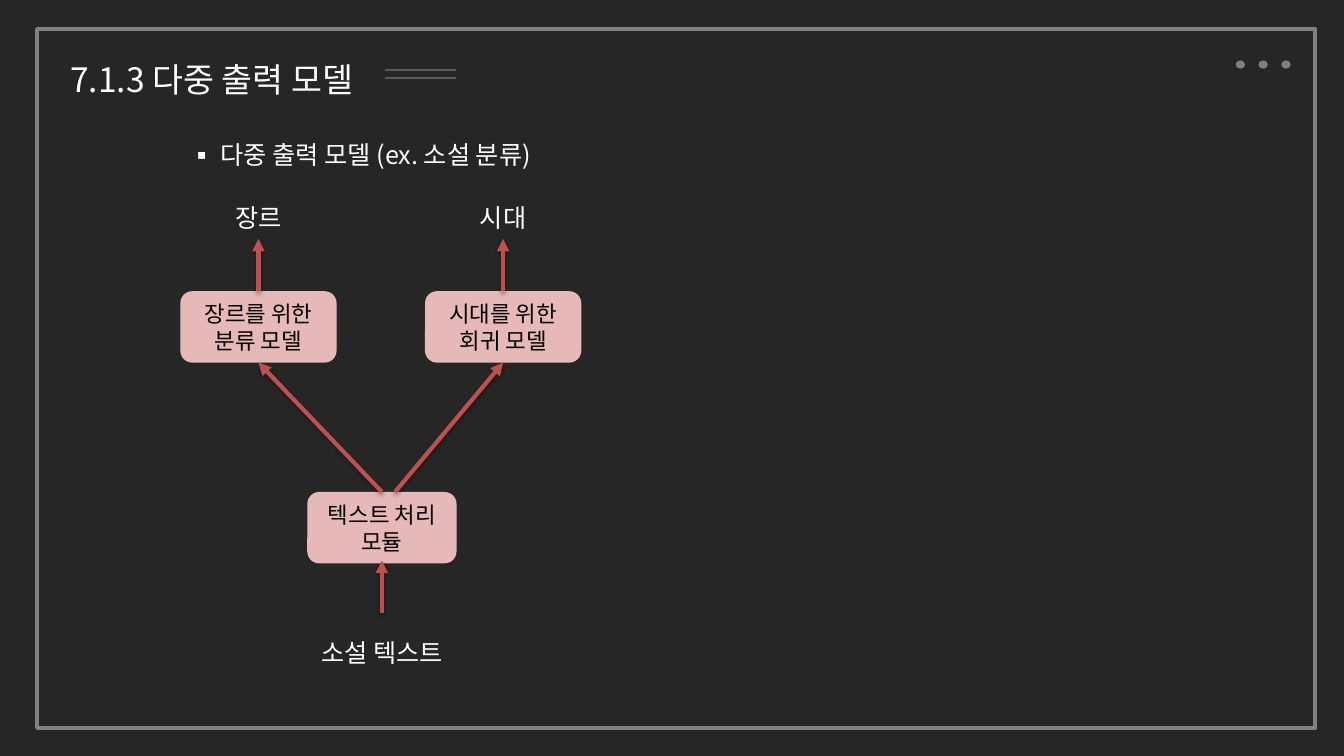
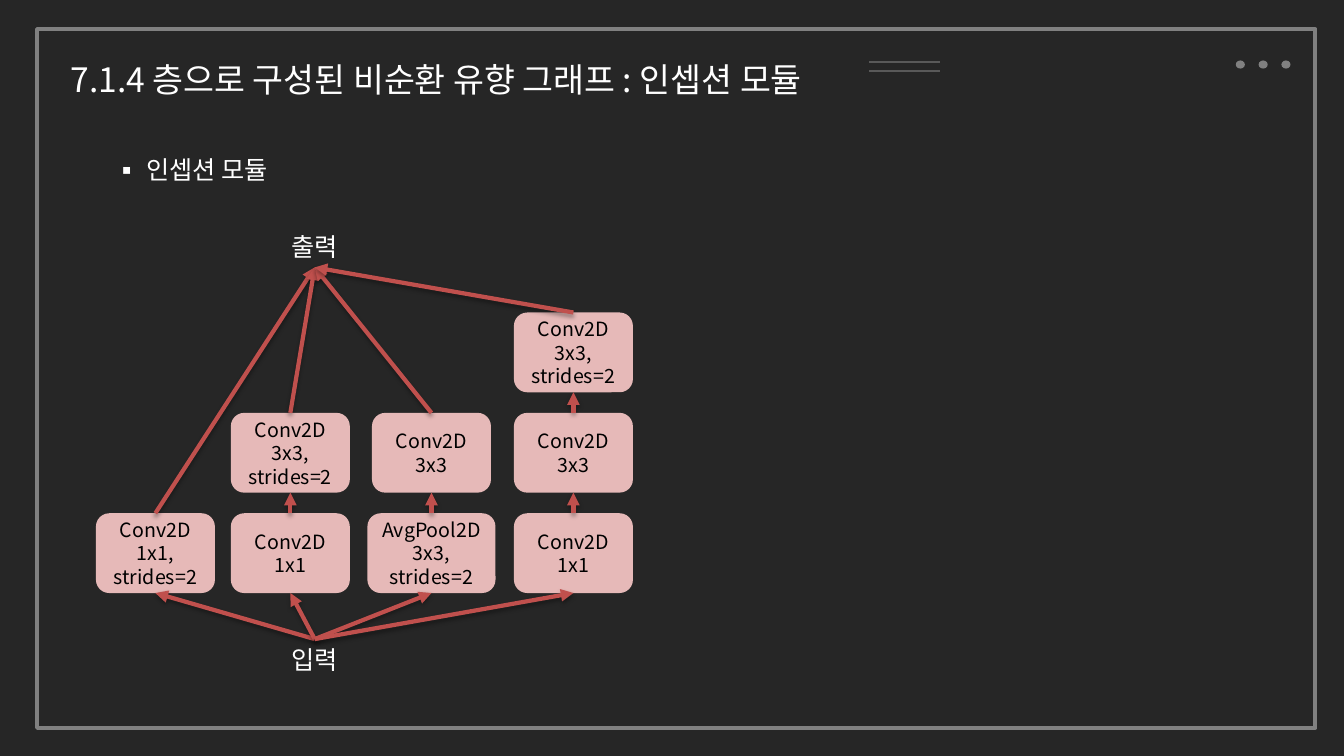
from lxml import etree
from pptx import Presentation
from pptx.dml.color import RGBColor
from pptx.enum.shapes import MSO_CONNECTOR, MSO_SHAPE
from pptx.enum.text import MSO_ANCHOR, MSO_AUTO_SIZE, PP_ALIGN
from pptx.oxml import parse_xml
from pptx.oxml.ns import nsdecls, qn
from pptx.util import Pt

STRAIGHT = MSO_CONNECTOR.STRAIGHT
OVAL, RECTANGLE, ROUNDED = MSO_SHAPE.OVAL, MSO_SHAPE.RECTANGLE, MSO_SHAPE.ROUNDED_RECTANGLE
MIDDLE = MSO_ANCHOR.MIDDLE
FIT_SHAPE = MSO_AUTO_SIZE.SHAPE_TO_FIT_TEXT
LEFT, CENTER = PP_ALIGN.LEFT, PP_ALIGN.CENTER

BACKGROUND = RGBColor(0x26, 0x26, 0x26)
FRAME_GRAY = RGBColor(0x80, 0x80, 0x80)
RULE_GRAY = RGBColor(0x59, 0x59, 0x59)
PINK = RGBColor(0xE6, 0xB9, 0xB8)
RED = RGBColor(0xC0, 0x50, 0x4D)
WHITE = RGBColor(0xFF, 0xFF, 0xFF)
BLACK = RGBColor(0, 0, 0)
FONT = "Noto Sans CJK KR"

ARROW_SHADOW = (
    f'<a:effectLst {nsdecls("a")}><a:outerShdw blurRad="{Pt(3.1)}" dist="{Pt(1.8)}" '
    'dir="5400000" rotWithShape="0"><a:srgbClr val="000000"><a:alpha val="35000"/>'
    "</a:srgbClr></a:outerShdw></a:effectLst>"
)


class Deck:
    """Holds the shared style and the slide being drawn."""

    def __init__(self):
        self.presentation = Presentation()
        self.presentation.slide_width = Pt(960)
        self.presentation.slide_height = Pt(540)
        self.slide = None

    def new_slide(self, title, title_width, rule_left, rule_top):
        self.slide = self.presentation.slides.add_slide(self.presentation.slide_layouts[6])
        fill = self.slide.background.fill
        fill.solid()
        fill.fore_color.rgb = BACKGROUND
        for position in range(3):
            self.shape(OVAL, 882.7 + 16.3 * position, 43.2, 6.5, 5.8, FRAME_GRAY)
        frame = self.shape(RECTANGLE, 26.6, 20.9, 913, 499)
        frame.line.color.rgb = FRAME_GRAY
        frame.line.width = Pt(3)
        heading = self.text(title, 43.2, 23.8, title_width, 51, 24, wrap=True)
        heading.line_spacing = 1.5
        for offset in (0, 5.8):
            top = rule_top + offset
            rule = self.line((rule_left, top), (rule_left + 51, top), RULE_GRAY, 1.5)
            etree.SubElement(rule._element.spPr, qn("a:effectLst"))

    def shape(self, preset, left, top, width, height, color=None):
        shape = self.slide.shapes.add_shape(preset, Pt(left), Pt(top), Pt(width), Pt(height))
        shape.shadow.inherit = False
        shape.line.fill.background()
        if color is None:
            shape.fill.background()
        else:
            shape.fill.solid()
            shape.fill.fore_color.rgb = color
        return shape

    def style(self, paragraph, size, color, align):
        paragraph.alignment = align
        for run in paragraph.runs:
            run.font.size = Pt(size)
            run.font.color.rgb = color
            run.font.name = FONT
            etree.SubElement(run._r.get_or_add_rPr(), qn("a:ea"), typeface=FONT)

    def text(self, words, left, top, width, height, size, align=LEFT, wrap=False):
        box = self.slide.shapes.add_textbox(Pt(left), Pt(top), Pt(width), Pt(height))
        frame = box.text_frame
        frame.word_wrap = wrap
        frame.auto_size = FIT_SHAPE
        frame.text = words
        self.style(frame.paragraphs[0], size, WHITE, align)
        return frame.paragraphs[0]

    def bullet(self, words, left, top, width):
        properties = self.text(words, left, top, width, 29, 18)._p.get_or_add_pPr()
        properties.set("marL", str(Pt(22.5)))
        properties.set("indent", str(-Pt(22.5)))
        etree.SubElement(properties, qn("a:buFont"), typeface=FONT)
        etree.SubElement(properties, qn("a:buChar"), char="▪")

    def label(self, words, center, top, width=50):
        self.text(words, center - width / 2, top, width, 29, 18, CENTER)

    def block(self, words, center, top, width, height, size):
        block = self.shape(ROUNDED, center - width / 2, top, width, height, PINK)
        frame = block.text_frame
        frame.word_wrap = True
        frame.vertical_anchor = MIDDLE
        frame.text = words
        for paragraph in frame.paragraphs:
            self.style(paragraph, size, BLACK, CENTER)

    def line(self, start, end, color, width):
        points = [Pt(value) for value in (*start, *end)]
        line = self.slide.shapes.add_connector(STRAIGHT, *points)
        line.line.color.rgb = color
        line.line.width = Pt(width)
        return line

    def arrow(self, start, end):
        properties = self.line(start, end, RED, 3)._element.spPr
        etree.SubElement(properties.find(qn("a:ln")), qn("a:tailEnd"), type="triangle")
        properties.append(parse_xml(ARROW_SHADOW))


def multi_output_slide(deck):
    deck.new_slide("7.1.3 다중 출력 모델", 232, 275, 49.8)
    deck.bullet("다중 출력 모델 (ex. 소설 분류)", 128, 96, 276.5)
    module_center, module_top, model_top, height = 272.8, 351.4, 208, 51
    deck.block("텍스트 처리 모듈", module_center, module_top, 106.6, height, 16)
    heads = [
        ("장르", "장르를 위한 분류 모델", 184.6, module_center),
        ("시대", "시대를 위한 회귀 모델", 359.4, module_center + 9.4),
    ]
    for output, model, center, branch in heads:
        deck.block(model, center, model_top, 111.6, height, 16)
        deck.arrow((branch, module_top), (center, model_top + height))
        deck.arrow((center, model_top), (center, 170.6))
        deck.label(output, center, 141)
    deck.arrow((module_center, 437.8), (module_center, 400.4))
    deck.label("소설 텍스트", module_center, 451.4, 108)


def inception_slide(deck):
    deck.new_slide("7.1.4 층으로 구성된 비순환 유향 그래프 : 인셉션 모듈", 582.5, 620.6, 44.6)
    deck.bullet("인셉션 모듈", 75, 106.6, 131)
    source, target = (224.8, 456.5), (224.8, 191)
    bottom_row, row_step, height = 366.6, 71.7, 57
    point, plain, strided = "Conv2D\n1x1", "Conv2D\n3x3", "Conv2D\n3x3, strides=2"
    pooling = "AvgPool2D\n3x3, strides=2"
    branches = [
        (111, ["Conv2D\n1x1, strides=2"]),
        (207.4, [point, strided]),
        (308.2, [pooling, plain]),
        (409.6, [point, plain, strided]),
    ]
    for center, layers in branches:
        previous = source
        for level, layer in enumerate(layers):
            top = bottom_row - row_step * level
            deck.block(layer, center, top, 91.5 if layer == pooling else 85, height, 14)
            deck.arrow(previous, (center, top + height))
            previous = (center, top)
        deck.arrow(previous, target)
    deck.label("입력", source[0], source[1])
    deck.label("출력", target[0], target[1] - 29.6)


def main():
    deck = Deck()
    multi_output_slide(deck)
    inception_slide(deck)
    deck.presentation.save("out.pptx")


if __name__ == "__main__":
    main()
